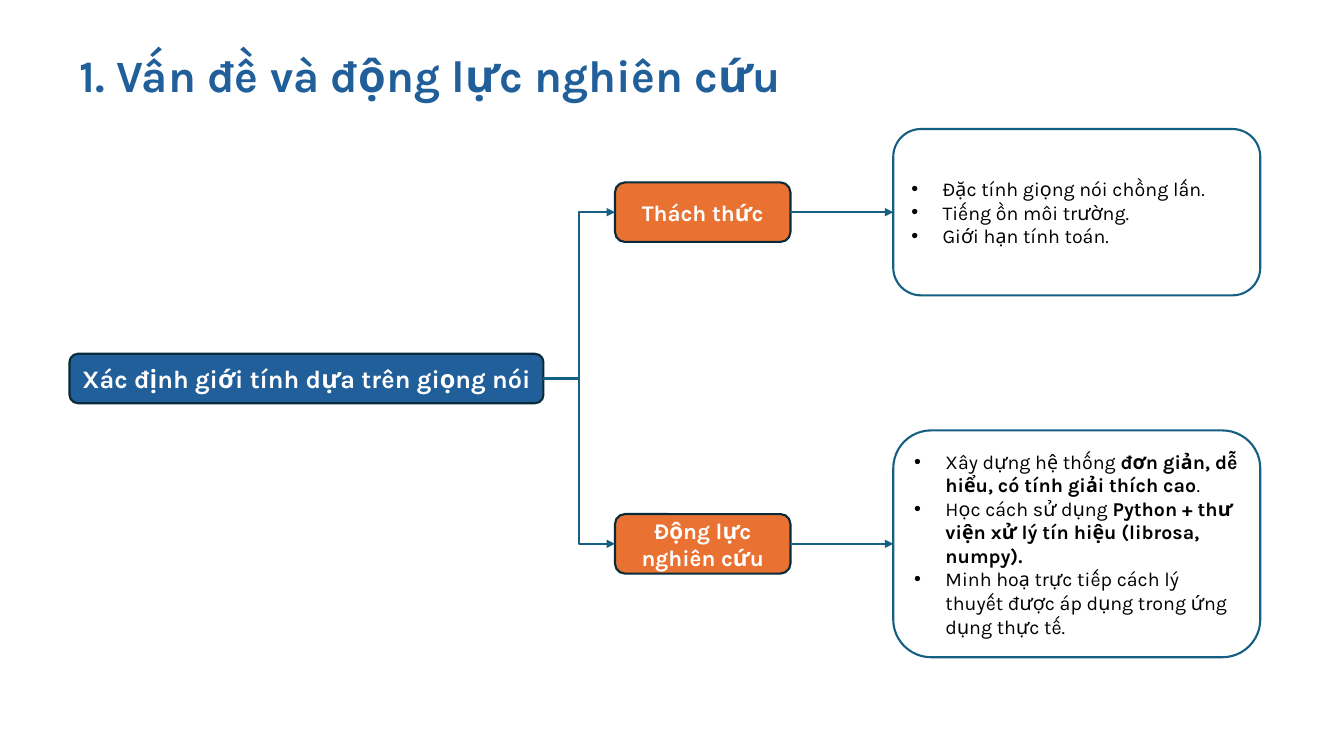
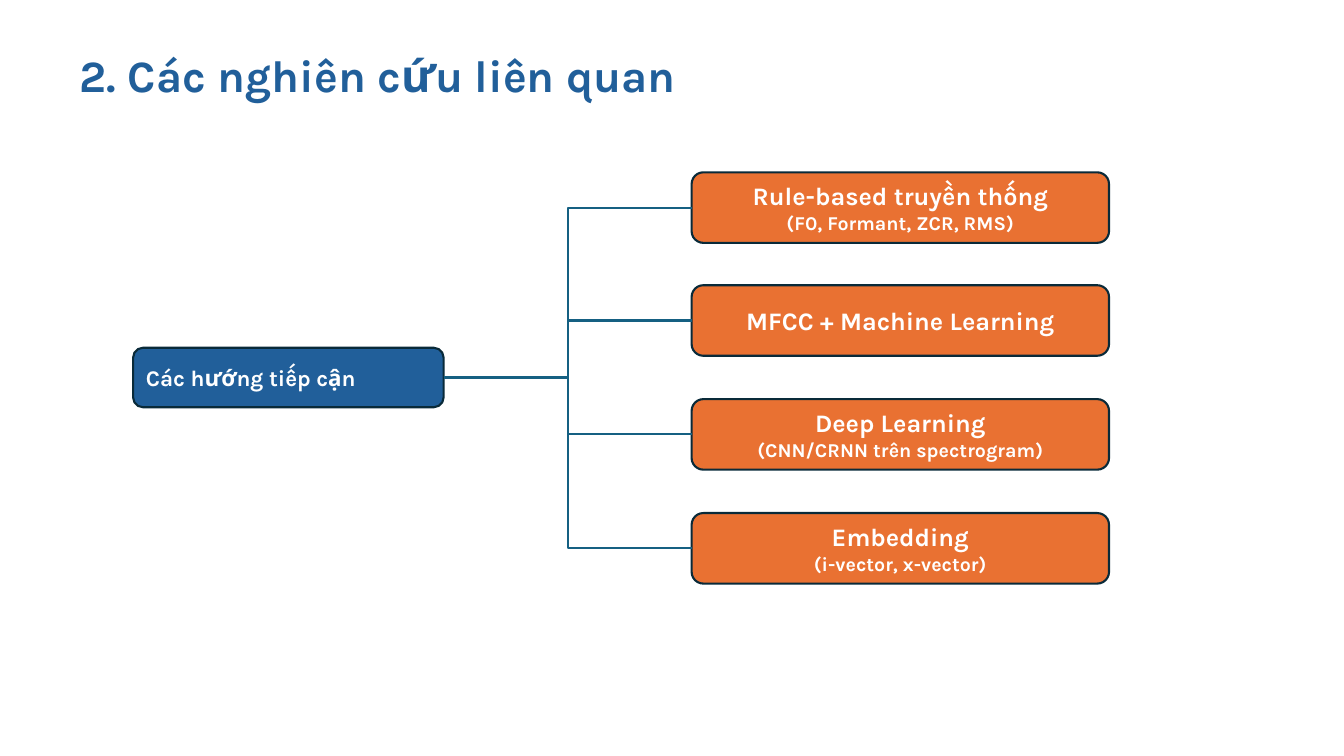
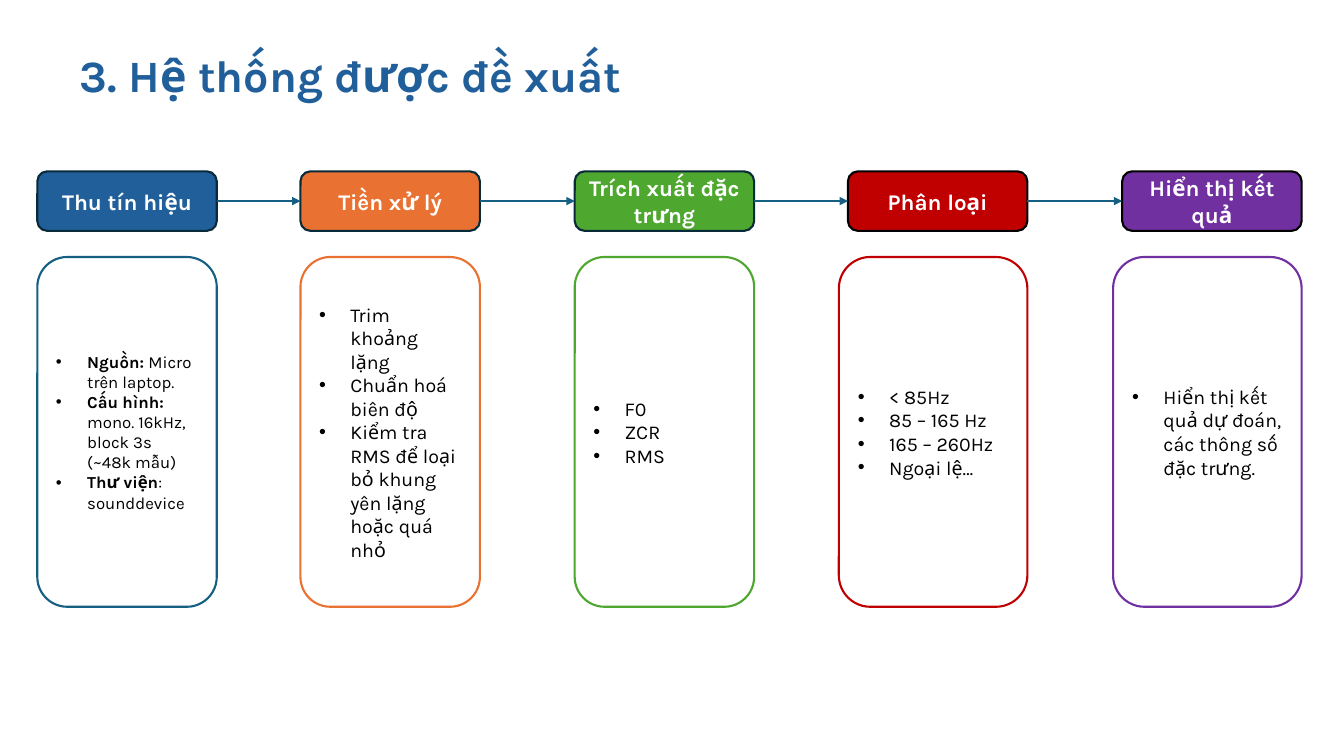
from lxml.etree import SubElement
from pptx import Presentation
from pptx.dml.color import RGBColor
from pptx.enum.shapes import MSO_CONNECTOR, MSO_SHAPE
from pptx.enum.text import MSO_ANCHOR, MSO_AUTO_SIZE, PP_ALIGN
from pptx.oxml.ns import qn
from pptx.util import Pt

EMU_PER_PX = 9144
FONT = "Karla"
BLUE, ORANGE, GREEN, RED, PURPLE = "215F9A", "E97132", "4EA72E", "C00000", "7030A0"
TEAL, NAVY, BLACK, WHITE = "156082", "092A39", "000000", "FFFFFF"
PILL_HEIGHT = 59
INDENT = 31
LEFT_SITE, RIGHT_SITE = 1, 3


def px(length):
    return length * EMU_PER_PX


def color(value):
    return RGBColor.from_string(value)


def apply_format(target, values):
    for name, value in values.items():
        setattr(target, name, value)


def place(shape, left, top, width, height):
    apply_format(shape, {"left": px(left), "top": px(top),
                         "width": px(width), "height": px(height)})


def add_run(paragraph, text, size, font_color, bold):
    run = paragraph.add_run()
    run.text = text
    apply_format(run.font, {"name": FONT, "size": Pt(size), "bold": bold})
    run.font.color.rgb = color(font_color)


def add_bullet(paragraph):
    properties = paragraph._p.get_or_add_pPr()
    properties.set("marL", str(px(INDENT)))
    properties.set("indent", str(-px(INDENT)))
    SubElement(properties, qn("a:buFont")).set("typeface", "Arial")
    SubElement(properties, qn("a:buChar")).set("char", "•")


def add_paragraphs(text_frame, count, align):
    paragraphs = [text_frame.paragraphs[0]]
    paragraphs += [text_frame.add_paragraph() for _ in range(count - 1)]
    for paragraph in paragraphs:
        paragraph.alignment = align
    return paragraphs


def add_titled_slide(presentation, title):
    slide = presentation.slides.add_slide(presentation.slide_layouts[5])
    shape = slide.shapes.title
    place(shape, 69, 42, 765, 64)
    apply_format(shape.text_frame, {"word_wrap": True, "auto_size": MSO_AUTO_SIZE.NONE,
                                    "vertical_anchor": MSO_ANCHOR.TOP})
    paragraph, = add_paragraphs(shape.text_frame, 1, PP_ALIGN.LEFT)
    add_run(paragraph, title, 32, BLUE, True)
    return slide


def add_box(slide, bounds, fill, outline):
    shape = slide.shapes.add_shape(MSO_SHAPE.ROUNDED_RECTANGLE, *map(px, bounds))
    shape.shadow.inherit = False
    shape.fill.solid()
    shape.fill.fore_color.rgb = color(fill)
    shape.line.color.rgb = color(outline)
    shape.line.width = Pt(1.5)
    apply_format(shape.text_frame, {"word_wrap": True,
                                    "vertical_anchor": MSO_ANCHOR.MIDDLE})
    return shape


def add_pill(slide, bounds, fill, lines, sizes=(16,), outline=NAVY, align=PP_ALIGN.CENTER):
    shape = add_box(slide, bounds, fill, outline)
    paragraphs = add_paragraphs(shape.text_frame, len(lines), align)
    for paragraph, text, size in zip(paragraphs, lines, sizes):
        add_run(paragraph, text, size, WHITE, True)
    return shape


def add_detail(slide, bounds, outline, items, size=14):
    shape = add_box(slide, bounds, WHITE, outline)
    paragraphs = add_paragraphs(shape.text_frame, len(items), PP_ALIGN.LEFT)
    for paragraph, item in zip(paragraphs, items):
        add_bullet(paragraph)
        for index, text in enumerate(item.split("**")):
            if text:
                add_run(paragraph, text, size, BLACK, index % 2 == 1)
    return shape


def connect(slide, source, target, kind=MSO_CONNECTOR.STRAIGHT, arrow=True):
    connector = slide.shapes.add_connector(kind, 0, 0, 0, 0)
    connector.begin_connect(source, RIGHT_SITE)
    connector.end_connect(target, LEFT_SITE)
    connector.line.color.rgb = color(TEAL)
    connector.line.width = Pt(1.5)
    properties = connector.element.spPr
    if arrow:
        SubElement(properties.find(qn("a:ln")), qn("a:tailEnd")).set("type", "triangle")
    SubElement(properties, qn("a:effectLst"))


def build_motivation(presentation):
    slide = add_titled_slide(presentation, "1. Vấn đề và động lực nghiên cứu")
    topic = add_pill(slide, (69, 351, 470, 49), BLUE,
                     ["Xác định giới tính dựa trên giọng nói"], (18,))
    branches = [
        ("Thách thức", 181, 128, 165, [
            "Đặc tính giọng nói chồng lấn.",
            "Tiếng ồn môi trường.",
            "Giới hạn tính toán."]),
        ("Động lực nghiên cứu", 510, 427, 225, [
            "Xây dựng hệ thống **đơn giản, dễ hiểu, có tính giải thích cao**.",
            "Học cách sử dụng **Python + thư viện xử lý tín hiệu (librosa, numpy).**",
            "Minh hoạ trực tiếp cách lý thuyết được áp dụng trong ứng dụng thực tế."]),
    ]
    for heading, pill_top, detail_top, detail_height, items in branches:
        pill = add_pill(slide, (610, pill_top, 174, PILL_HEIGHT), ORANGE, [heading])
        detail = add_detail(slide, (886, detail_top, 364, detail_height), TEAL, items)
        connect(slide, topic, pill, MSO_CONNECTOR.ELBOW)
        connect(slide, pill, detail)


def build_related_work(presentation):
    slide = add_titled_slide(presentation, "2. Các nghiên cứu liên quan")
    topic = add_pill(slide, (132, 345, 308, PILL_HEIGHT), BLUE,
                     ["Các hướng tiếp cận"], align=PP_ALIGN.LEFT)
    approaches = [
        ["Rule-based truyền thống", "(F0, Formant, ZCR, RMS)"],
        ["MFCC + Machine Learning"],
        ["Deep Learning", "(CNN/CRNN trên spectrogram)"],
        ["Embedding", "(i-vector, x-vector)"],
    ]
    first_top, last_top = 171, 509
    for index, lines in enumerate(approaches):
        top = first_top + (last_top - first_top) * index // (len(approaches) - 1)
        pill = add_pill(slide, (686, top, 414, 70), ORANGE, lines, (18, 14))
        connect(slide, topic, pill, MSO_CONNECTOR.ELBOW, arrow=False)


def build_system(presentation):
    slide = add_titled_slide(presentation, "3. Hệ thống được đề xuất")
    pill_width = 178
    stages = [
        ("Thu tín hiệu", 37, 178, BLUE, NAVY, TEAL, 12, [
            "**Nguồn: **Micro trên laptop.",
            "**Cấu hình: **mono. 16kHz, block 3s (~48k mẫu)",
            "**Thư viện**: sounddevice"]),
        ("Tiền xử lý", 298, 178, ORANGE, NAVY, ORANGE, 14, [
            "Trim khoảng lặng",
            "Chuẩn hoá biên độ",
            "Kiểm tra RMS để loại bỏ khung yên lặng hoặc quá nhỏ"]),
        ("Trích xuất đặc trưng", 570, 178, GREEN, NAVY, GREEN, 14,
         ["F0", "ZCR", "RMS"]),
        ("Phân loại", 841, 187, RED, BLACK, RED, 14,
         ["< 85Hz", "85 – 165 Hz", "165 – 260Hz", "Ngoại lệ…"]),
        ("Hiển thị kết quả", 1113, 187, PURPLE, BLACK, PURPLE, 14,
         ["Hiển thị kết quả dự đoán, các thông số đặc trưng."]),
    ]
    previous = None
    for heading, left, detail_width, fill, outline, detail_outline, size, items in stages:
        pill = add_pill(slide, (left, 170, pill_width, PILL_HEIGHT), fill, [heading],
                        outline=outline)
        detail_left = left + pill_width - detail_width
        add_detail(slide, (detail_left, 255, detail_width, 347), detail_outline, items, size)
        if previous:
            connect(slide, previous, pill)
        previous = pill


def main():
    presentation = Presentation()
    apply_format(presentation, {"slide_width": px(1333), "slide_height": px(750)})
    build_motivation(presentation)
    build_related_work(presentation)
    build_system(presentation)
    presentation.save("out.pptx")


if __name__ == "__main__":
    main()
